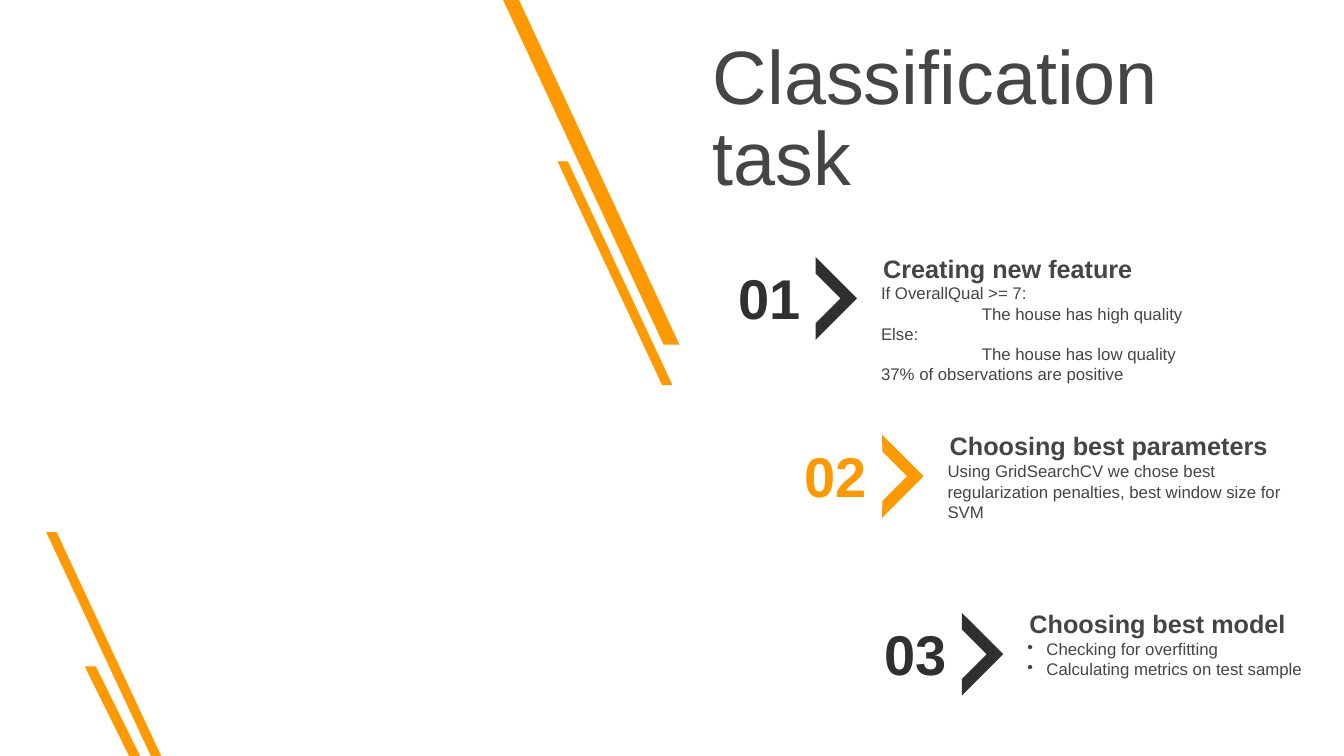
from lxml import etree
from pptx import Presentation
from pptx import util as u
from pptx.dml.color import RGBColor
from pptx.enum import shapes, text
from pptx.oxml import ns

ORANGE, DARK, GREY = "FE9900", "303030", "454545"
PLAIN, INDENTED, BULLET = "plain", "indented", "bullet"


def color(value):
    return RGBColor.from_string(value)


def add_filled(page, kind, box, fill, adjustments):
    shape = page.shapes.add_shape(kind, *map(u.Inches, box))
    shape.shadow.inherit = False
    shape.fill.solid()
    shape.fill.fore_color.rgb = color(fill)
    shape.line.fill.background()
    for index, value in enumerate(adjustments):
        shape.adjustments[index] = value
    return shape


def style_paragraph(para, style):
    if style == PLAIN:
        return
    props = para._p.get_or_add_pPr()
    props.set("marL", str(u.Inches(1 if style == INDENTED else 0.19)))
    if style == BULLET:
        props.set("indent", str(u.Inches(-0.19)))
        etree.SubElement(props, ns.qn("a:buChar")).set("char", "•")


def add_text(page, box, lines, size, ink, bold=False, side=0.1,
             align=text.PP_ALIGN.LEFT, anchor=text.MSO_ANCHOR.TOP, spacing=None):
    """Place a text box; lines holds (wording, paragraph style) pairs."""
    frame = page.shapes.add_textbox(*map(u.Inches, box)).text_frame
    frame.word_wrap = True
    frame.vertical_anchor = anchor
    frame.margin_left = frame.margin_right = u.Inches(side)
    for index, (wording, style) in enumerate(lines):
        para = frame.add_paragraph() if index else frame.paragraphs[0]
        para.alignment = align
        if spacing:
            para.line_spacing = spacing
        style_paragraph(para, style)
        span = para.add_run()
        span.text = wording
        span.font.name = "Arial"
        span.font.size = u.Pt(size)
        span.font.bold = bold
        span.font.color.rgb = color(ink)


def add_stripes(page, left, top, stripes):
    """Slanted bars; each is (dx, dy, width, height, slant)."""
    for dx, dy, width, height, slant in stripes:
        bar = add_filled(page, shapes.MSO_SHAPE.PARALLELOGRAM,
                         (left + dx, top + dy, width, height), ORANGE, [slant])
        bar._element.spPr.xfrm.set("flipH", "1")


def add_step(page, left, top, width, number, ink, heading, lines):
    """Number, chevron, heading and body of one step."""
    add_text(page, (left + 1.44, top + 0.19, width, 1.11), lines, 12, GREY)
    add_text(page, (left + 1.44, top - 0.11, width, 0.4),
             [(heading, PLAIN)], 18, GREY, bold=True, side=0.12)
    add_text(page, (left, top, 0.86, 0.77), [(number, PLAIN)], 40, ink,
             bold=True, side=0.12, align=text.PP_ALIGN.CENTER)
    chevron = add_filled(page, shapes.MSO_SHAPE.HALF_FRAME,
                         (left + 0.6, top + 0.1, 0.58, 0.58), ink, [0.2, 0.2])
    chevron.rotation = 135


def add_title(page, box, wording):
    add_text(page, box, [(wording, PLAIN)], 54, GREY,
             anchor=text.MSO_ANCHOR.MIDDLE, spacing=0.9)


deck = Presentation()
deck.slide_width, deck.slide_height = u.Inches(13.33), u.Inches(7.5)
page = deck.slides.add_slide(deck.slide_layouts[6])

# Slanted stripes, top and bottom left
add_stripes(page, 4.99, 0, [(0, 0, 1.75, 3.42, 0.91), (0.54, 1.6, 1.14, 2.22, 0.91)])
add_stripes(page, 0.46, 5.28, [(0.38, 1.33, 0.55, 0.89, 0.8), (0, 0, 1.14, 2.22, 0.91)])

# Three steps, evenly spaced downwards
STEPS = [
    (7.2, 4.16, DARK, "Creating new feature", [
        ("If OverallQual >= 7:", PLAIN),
        ("The house has high quality", INDENTED),
        ("Else:", PLAIN),
        ("The house has low quality", INDENTED),
        ("37% of observations are positive", PLAIN)]),
    (7.86, 3.56, ORANGE, "Choosing best parameters", [
        ("Using GridSearchCV we chose best regularization penalties, "
         "best window size for SVM", PLAIN)]),
    (8.65, 2.95, DARK, "Choosing best model", [
        ("Checking for overfitting", BULLET),
        ("Calculating metrics on test sample", BULLET)]),
]
for index, (left, width, ink, heading, lines) in enumerate(STEPS):
    add_step(page, left, 2.57 + 1.765 * index, width,
             f"{index + 1:02}", ink, heading, lines)

# Title
add_title(page, (6.97, 0.24, 5.23, 1.91), "Classification task")

deck.save("out.pptx")
